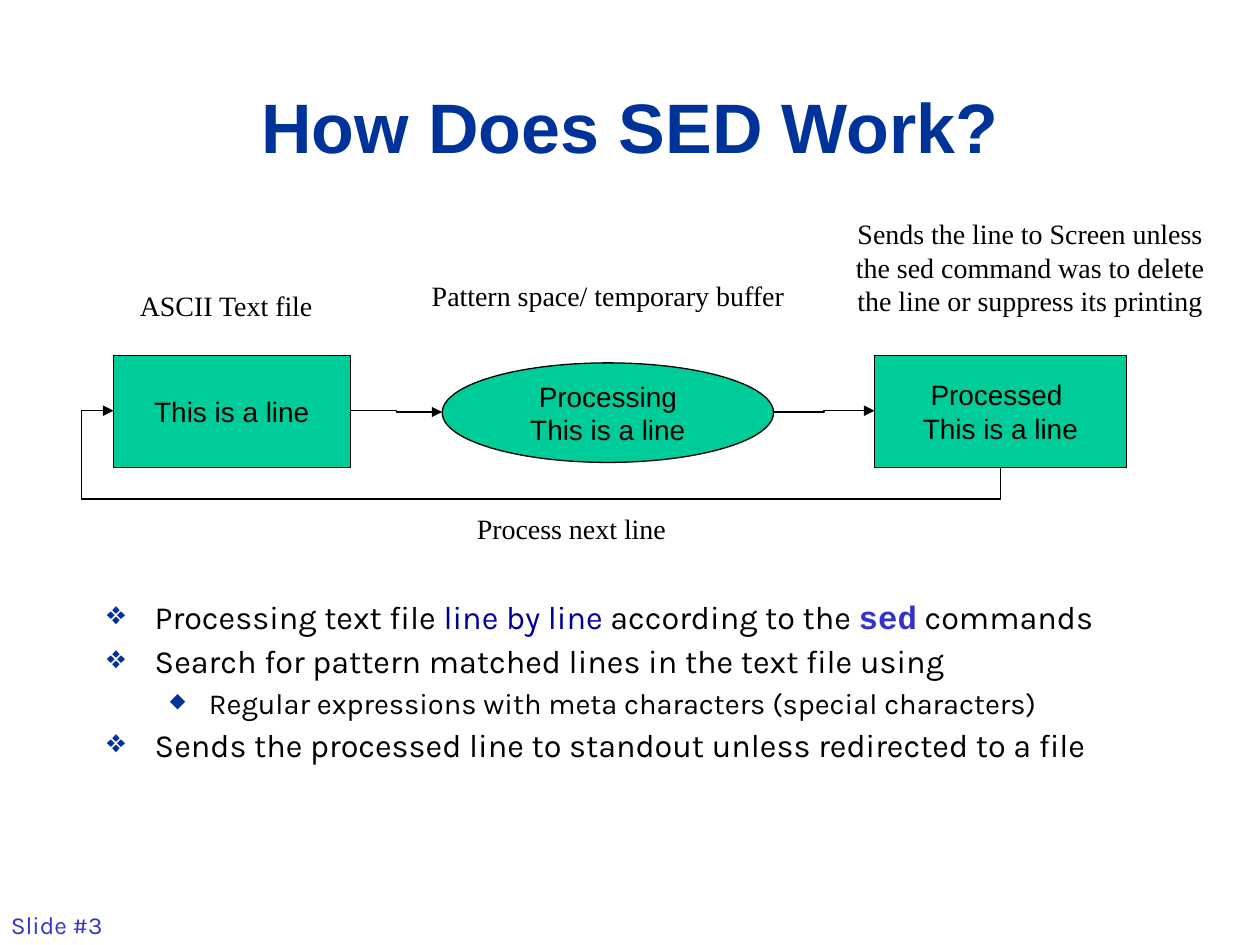
from lxml.etree import SubElement
from pptx import Presentation
from pptx.dml.color import RGBColor
from pptx.enum.shapes import MSO_CONNECTOR as CXN, MSO_SHAPE as SHAPE
from pptx.enum.text import MSO_ANCHOR as ANCHOR, PP_ALIGN as ALIGN
from pptx.oxml.ns import qn
from pptx.util import Inches, Pt

BLACK = RGBColor(0x00, 0x00, 0x00)
NAVY = RGBColor(0x00, 0x33, 0x99)
DEEP_BLUE = RGBColor(0x00, 0x00, 0x99)
VIOLET = RGBColor(0x33, 0x33, 0xCC)
GREEN = RGBColor(0x00, 0xCC, 0x99)


class SlideBuilder:
    """Draws the elements of one slide in a shared style."""

    sans, serif, body = "Arial", "Times New Roman", "Karla"
    diagram_size = 16
    line_width = Pt(0.75)

    def __init__(self, slide):
        self.slide = slide

    def style(self, r, font, size, color, bold=False):
        r.font.name, r.font.size, r.font.bold = font, Pt(size), bold
        r.font.color.rgb = color

    def fill_text(self, tf, text, font, size, color, bold=False):
        tf.text = text
        for p in tf.paragraphs:
            p.alignment = ALIGN.CENTER
            for r in p.runs:
                self.style(r, font, size, color, bold)

    def text_frame(self, x, y, w, h):
        tb = self.slide.shapes.add_textbox(Inches(x), Inches(y), Inches(w), Inches(h))
        tb.text_frame.word_wrap = True
        return tb.text_frame

    def title(self, text, x, y, w, h):
        tf = self.text_frame(x, y, w, h)
        tf.vertical_anchor = ANCHOR.MIDDLE
        self.fill_text(tf, text, self.sans, 40, NAVY, True)

    def footer(self, text, x, y, w, h):
        tf = self.text_frame(x, y, w, h)
        tf.margin_left = 0
        self.fill_text(tf, text, self.body, 14, VIOLET)

    def label(self, text, x, y, w, h=0.37):
        self.fill_text(self.text_frame(x, y, w, h), text, self.serif, self.diagram_size, BLACK)

    def node(self, kind, text, x, y, w, h):
        sp = self.slide.shapes.add_shape(kind, Inches(x), Inches(y), Inches(w), Inches(h))
        sp.shadow.inherit = False
        sp.fill.solid()
        sp.fill.fore_color.rgb = GREEN
        sp.line.color.rgb = BLACK
        sp.line.width = self.line_width
        tf = sp.text_frame
        tf.word_wrap = False
        tf.vertical_anchor = ANCHOR.MIDDLE
        self.fill_text(tf, text, self.sans, self.diagram_size, BLACK)

    def arrow(self, x1, y1, x2, y2):
        cxn = self.slide.shapes.add_connector(
            CXN.ELBOW, Inches(x1), Inches(y1), Inches(x2), Inches(y2))
        cxn.line.color.rgb = BLACK
        cxn.line.width = self.line_width
        SubElement(cxn.line._get_or_add_ln(), qn("a:tailEnd"), type="triangle")
        SubElement(cxn._element.spPr, qn("a:effectLst"))
        return cxn

    def loop_arrow(self, x1, y1, x2, y2, drop, overshoot):
        across, rise = x1 - x2, y1 - y2
        cx, cy = (x1 + x2) / 2, (y1 + y2) / 2
        cxn = self.arrow(cx - rise / 2, cy + across / 2, cx + rise / 2, cy - across / 2)
        cxn._element.spPr.find(qn("a:xfrm")).set("rot", "16200000")
        geom = cxn._element.spPr.find(qn("a:prstGeom"))
        geom.set("prst", "bentConnector4")
        guides = geom.find(qn("a:avLst"))
        for name, ratio in (("adj1", -drop / rise), ("adj2", 1 + overshoot / across)):
            SubElement(guides, qn("a:gd"), name=name, fmla=f"val {round(ratio * 100000)}")

    def bullets(self, items, x, y, w, h):
        tf = self.text_frame(x, y, w, h)
        for i, (level, parts) in enumerate(items):
            p = tf.add_paragraph() if i else tf.paragraphs[0]
            char, scale, left, hang, size, before = (
                ("◆", 70, 0.81, 0.31, 16.6, 6.8) if level else ("❖", 100, 0.38, 0.38, 18.5, 7.5))
            pPr = p._p.get_or_add_pPr()
            pPr.set("marL", str(Inches(left)))
            pPr.set("indent", str(-Inches(hang)))
            SubElement(SubElement(pPr, qn("a:buClr")), qn("a:srgbClr"), val=str(NAVY))
            SubElement(pPr, qn("a:buSzPct"), val=str(scale * 1000))
            SubElement(pPr, qn("a:buChar"), char=char)
            p.level = level
            p.line_spacing = 0.8
            if i:
                p.space_before = Pt(before)
            for text, font, color, bold in parts:
                r = p.add_run()
                r.text = text
                self.style(r, font, size, color, bold)


def plain(text):
    return text, SlideBuilder.body, BLACK, False


def main():
    prs = Presentation()
    prs.slide_width, prs.slide_height = Inches(10), Inches(7.5)
    s = SlideBuilder(prs.slides.add_slide(prs.slide_layouts[6]))

    s.footer("Slide #3", 0, 7.17, 1, 0.37)
    s.title("How Does SED Work?", 0.75, 0.5, 8.5, 1)
    s.bullets([
        (0, [plain("Processing text file "),
             ("line by line", s.body, DEEP_BLUE, False),
             plain(" according to the "),
             ("sed", "Courier New", VIOLET, True),
             plain(" commands")]),
        (0, [plain("Search for pattern matched lines in the text file using")]),
        (1, [plain("Regular expressions with meta characters (special characters)")]),
        (0, [plain("Sends the processed line to standout unless redirected to a file")]),
    ], 0.75, 4.75, 8.5, 1.92)

    s.node(SHAPE.FLOWCHART_PROCESS, "This is a line", 0.9, 2.82, 1.88, 0.89)
    s.node(SHAPE.OVAL, "Processing\nThis is a line", 3.51, 2.88, 2.63, 0.79)
    s.node(SHAPE.RECTANGLE, "Processed \nThis is a line", 6.94, 2.82, 2, 0.89)

    s.label("ASCII Text file", 0.92, 2.24, 1.75)
    s.label("Pattern space/ temporary buffer", 3.26, 2.16, 3.13)
    s.label("Sends the line to Screen unless the sed command was to delete "
            "the line or suppress its printing", 6.57, 1.67, 3.21, 0.9)
    s.label("Process next line", 2.72, 4.01, 3.63)

    s.arrow(2.78, 3.26, 3.51, 3.27)
    s.arrow(6.14, 3.27, 6.94, 3.26)
    s.loop_arrow(7.94, 3.71, 0.9, 3.26, 0.25, 0.25)
    prs.save("out.pptx")


if __name__ == "__main__":
    main()
